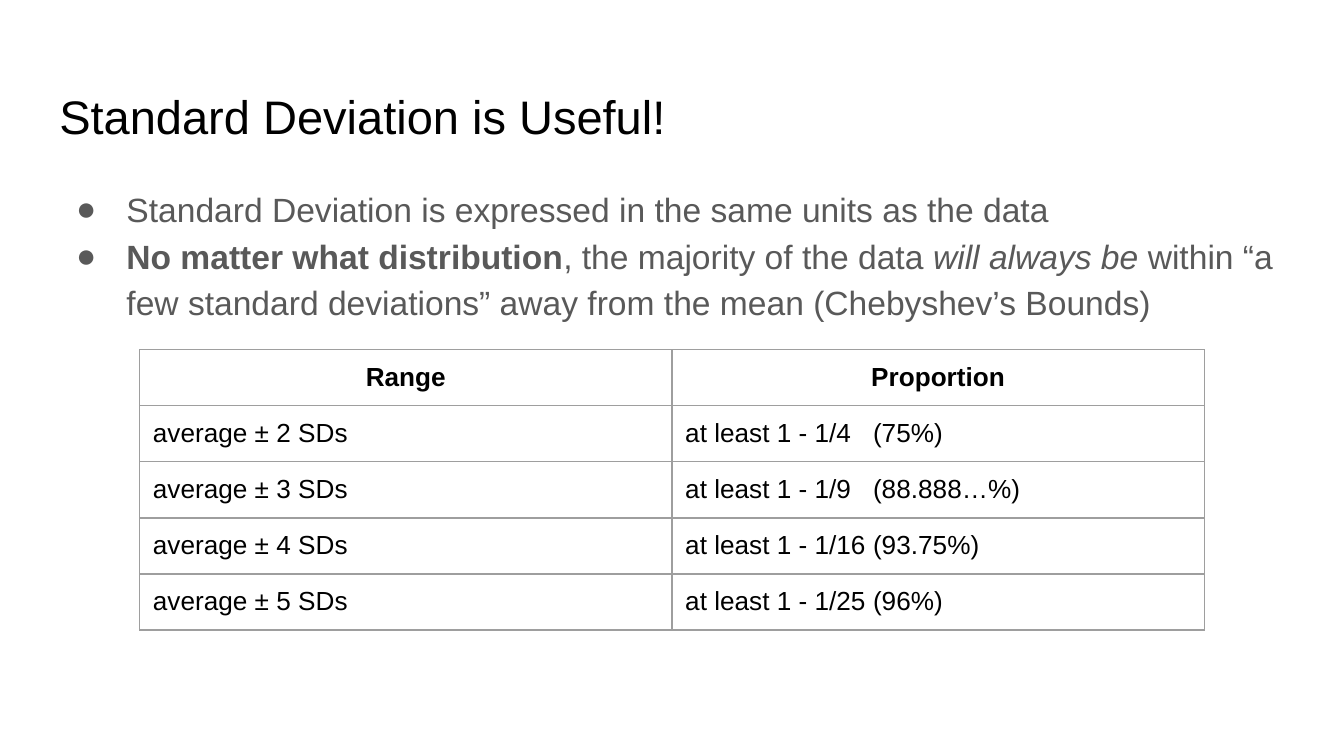
"""Build a slide on standard deviation with a table of Chebyshev's bounds."""
from lxml import etree
from pptx import Presentation
from pptx import util as u
from pptx.dml.color import RGBColor
from pptx.enum import text
from pptx.oxml import ns

BLACK, GREY, BORDER = "000000", "595959", "9E9E9E"
INSET = u.Cm(0.25)


def add_xml(parent, tag, **attrs):
    return etree.SubElement(parent, ns.qn(tag), attrs)


def add_text(p, words, size=14, color=BLACK, bold=False, italic=False):
    r = p.add_run()
    r.text = words
    r.font.name, r.font.size = "Arial", u.Pt(size)
    r.font.bold, r.font.italic = bold, italic
    r.font.color.rgb = RGBColor.from_string(color)


prs = Presentation()
prs.slide_width, prs.slide_height = u.Cm(25.4), u.Cm(14.29)
s = prs.slides.add_slide(prs.slide_layouts[1])
title, body = s.shapes.title, s.placeholders[1]

for sp, top, height in [(title, 1.24, 1.6), (body, 3.21, 9.5)]:
    sp.left, sp.top, sp.width, sp.height = u.Cm(0.87), u.Cm(top), u.Cm(23.67), u.Cm(height)
    tf = sp.text_frame
    tf.word_wrap, tf.auto_size = True, text.MSO_AUTO_SIZE.NONE
    tf.vertical_anchor = text.MSO_ANCHOR.TOP
    tf.margin_left = tf.margin_right = tf.margin_top = tf.margin_bottom = INSET

p = title.text_frame.paragraphs[0]
p.alignment, p.line_spacing = text.PP_ALIGN.LEFT, 1.15
add_text(p, "Standard Deviation is Useful!", size=25.2)

bullets = [
    [("Standard Deviation is expressed in the same units as the data", {})],
    [
        ("No matter what distribution", {"bold": True}),
        (", the majority of the data ", {}),
        ("will always be ", {"italic": True}),
        ("within “a few standard deviations” away from the mean (Chebyshev’s Bounds)", {}),
    ],
]
tf = body.text_frame
for i, runs in enumerate(bullets):
    p = tf.add_paragraph() if i else tf.paragraphs[0]
    pPr = p._p.get_or_add_pPr()
    pPr.set("marL", str(u.Cm(1.27)))
    pPr.set("indent", str(u.Cm(-0.95)))
    add_xml(add_xml(pPr, "a:buClr"), "a:srgbClr", val=GREY)
    add_xml(pPr, "a:buFont", typeface="Arial")
    add_xml(pPr, "a:buChar", char="●")
    p.line_spacing, p.space_before = 1.15, u.Pt(0)
    for words, style in runs:
        add_text(p, words, size=18, color=GREY, **style)

rows = [
    ("Range", "Proportion"),
    ("average ± 2 SDs", "at least 1 - 1/4\t(75%)"),
    ("average ± 3 SDs", "at least 1 - 1/9\t(88.888…%)"),
    ("average ± 4 SDs", "at least 1 - 1/16\t(93.75%)"),
    ("average ± 5 SDs", "at least 1 - 1/25\t(96%)"),
]
col_width, row_height = u.Cm(10.06), u.Cm(1.06)
table = s.shapes.add_table(len(rows), 2, u.Cm(2.64), u.Cm(6.61),
                           2 * col_width, len(rows) * row_height).table
table.first_row = table.horz_banding = False
for col in table.columns:
    col.width = col_width
for i, row in enumerate(rows):
    table.rows[i].height = row_height
    for j, words in enumerate(row):
        cell = table.cell(i, j)
        cell.margin_left = cell.margin_right = cell.margin_top = cell.margin_bottom = INSET
        tcPr = cell._tc.get_or_add_tcPr()
        for side in ("L", "R", "T", "B"):
            ln = add_xml(tcPr, f"a:ln{side}", w=str(u.Pt(0.75)))
            add_xml(add_xml(ln, "a:solidFill"), "a:srgbClr", val=BORDER)
        cell.fill.background()
        p = cell.text_frame.paragraphs[0]
        if "\t" in words:
            tabs = add_xml(p._p.get_or_add_pPr(), "a:tabLst")
            add_xml(tabs, "a:tab", pos=str(u.Cm(3.55)), algn="l")
        p.alignment = text.PP_ALIGN.LEFT if i else text.PP_ALIGN.CENTER
        add_text(p, words, bold=i == 0)

prs.save("out.pptx")
